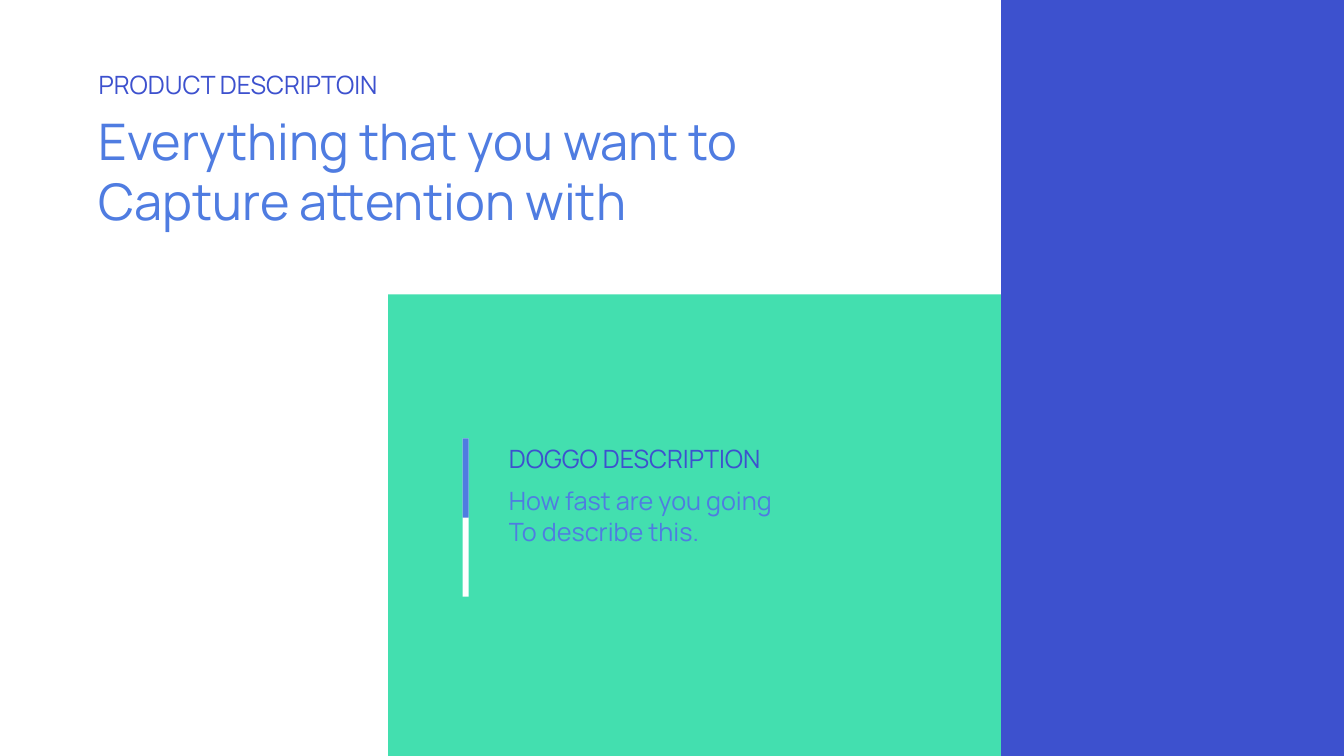
from pptx import Presentation
from pptx.dml.color import RGBColor
from pptx.enum.shapes import MSO_SHAPE as Shape
from pptx.enum.text import MSO_AUTO_SIZE as AutoSize
from pptx.util import Inches, Pt

COLORS = {"indigo": "3D51CE", "blue": "4F7CE1", "mint": "43DFAF", "white": "FFFFFF"}

deck = Presentation()
deck.slide_width, deck.slide_height = Inches(13.33), Inches(7.5)
slide = deck.slides.add_slide(deck.slide_layouts[6])


def place(left, top, width, height):
    column, row = deck.slide_width / 100, deck.slide_height / 100
    return [round(n * unit) for n, unit in zip((left, top, width, height), (column, row) * 2)]


heading_left, panel_left, detail_left, sidebar_left = 6.6, 28.88, 37.13, 74.49
panel_top, detail_top = 38.93, 58
marker_left, marker_width, marker_height = 34.43, 0.45, 20.93

blocks = [
    ("mint", panel_left, panel_top, sidebar_left - panel_left, 100 - panel_top),
    ("indigo", sidebar_left, 0, 100 - sidebar_left, 100),
    ("white", marker_left, detail_top, marker_width, marker_height),
    ("blue", marker_left, detail_top, marker_width, marker_height / 2),
]
for color, *area in blocks:
    block = slide.shapes.add_shape(Shape.RECTANGLE, *place(*area))
    block.shadow.inherit = False
    block.fill.solid()
    block.fill.fore_color.rgb = RGBColor.from_string(COLORS[color])
    block.line.fill.background()

passages = [
    (["DOGGO DESCRIPTION"], 18, "indigo", detail_left, detail_top, 21.83, 5.33),
    (["How fast are you going", "To describe this."], 18, "blue", detail_left, 63.6, 23.78, 9.47),
    (["Everything that you want to", "Capture attention with"], 36, "blue", heading_left, 13.87, 56.71, 17.47),
    (["PRODUCT DESCRIPTOIN"], 18, "indigo", heading_left, 8.53, 23.86, 5.33),
]
for lines, size, color, *area in passages:
    frame = slide.shapes.add_textbox(*place(*area)).text_frame
    frame.text = "\n".join(lines)
    for name, value in {"word_wrap": True, "auto_size": AutoSize.SHAPE_TO_FIT_TEXT}.items():
        setattr(frame, name, value)
    for paragraph in frame.paragraphs:
        font = paragraph.runs[0].font
        for name, value in {"name": "Manrope", "size": Pt(size)}.items():
            setattr(font, name, value)
        font.color.rgb = RGBColor.from_string(COLORS[color])

deck.save("out.pptx")
